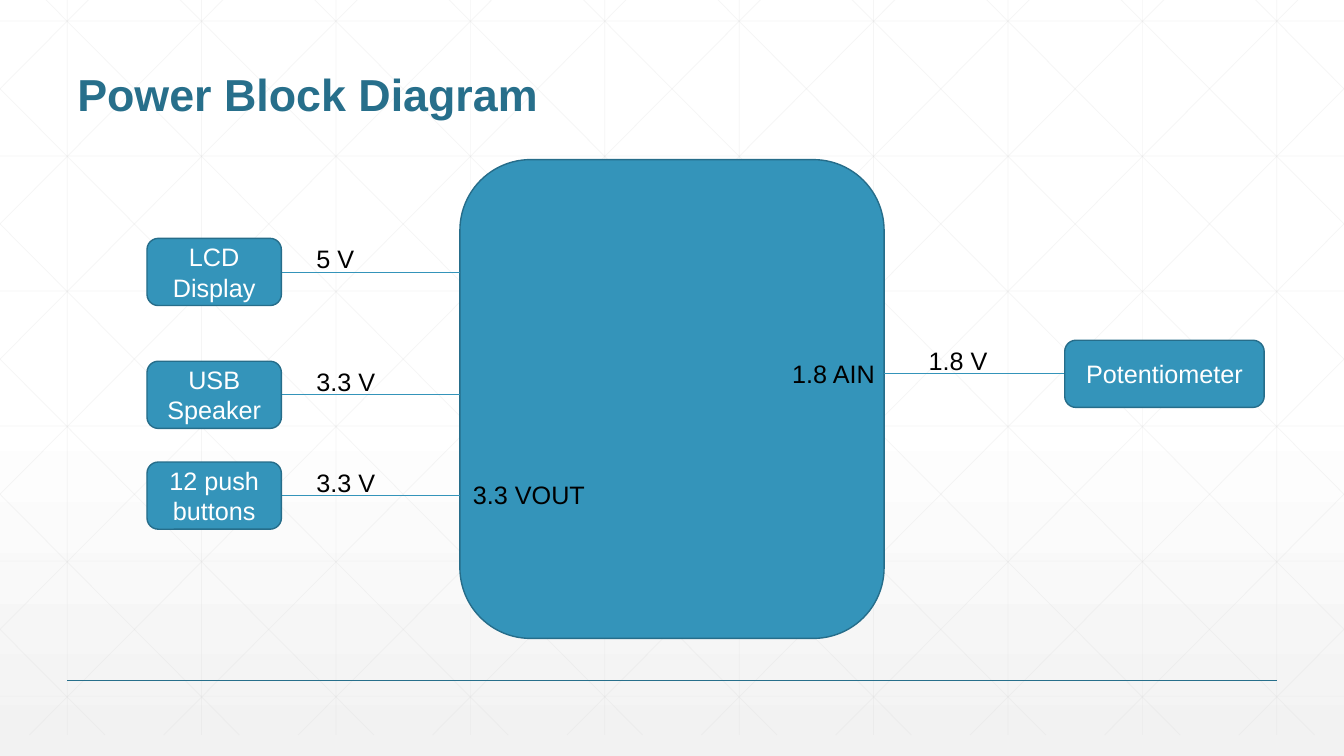
from pptx import Presentation
from pptx.dml.color import RGBColor
from pptx.enum.shapes import MSO_CONNECTOR, MSO_SHAPE
from pptx.enum.text import MSO_ANCHOR, PP_ALIGN
from pptx.oxml.ns import qn
from pptx.util import Pt
from lxml.etree import SubElement

PX = 9525
WIDTH, HEIGHT = 1280, 720

BLUE = RGBColor(0x34, 0x94, 0xBA)
OUTLINE = RGBColor(0x26, 0x6D, 0x8A)
TITLE_BLUE = RGBColor(0x27, 0x6F, 0x8B)
GRID_GRAY = RGBColor(0xD9, 0xD9, 0xD9)
BACKGROUND_GRAY = RGBColor(0xF2, 0xF2, 0xF2)
WHITE = RGBColor(0xFF, 0xFF, 0xFF)
BLACK = RGBColor(0, 0, 0)

TITLE = "Power Block Diagram"
BOARD = (438, 152, 404, 456)
BOX_HEIGHT = 64
# name, voltage, box left, box top, box width, voltage label left
DEVICES = [
    ("LCD Display", "5 V", 140, 227, 128, 292),
    ("USB Speaker", "3.3 V", 140, 344, 128, 292),
    ("12 push buttons", "3.3 V", 140, 440, 128, 292),
    ("Potentiometer", "1.8 V", 1014, 324, 190, 875),
]
# text, left, top, width
PINS = [("3.3 VOUT", 441, 452, 144), ("1.8 AIN", 745, 337, 113)]

GRID_STEP = 128
GRID_TOP, GRID_BOTTOM = -20, 700
DIAGONAL_RUN = 716


def emu(*lengths):
    return [round(length * PX) for length in lengths]


def add_line(slide, x1, y1, x2, y2, color, width, opacity=100):
    line = slide.shapes.add_connector(MSO_CONNECTOR.STRAIGHT, *emu(x1, y1, x2, y2))
    line.line.color.rgb = color
    line.line.width = Pt(width)
    properties = line.element.spPr
    SubElement(properties, qn("a:effectLst"))
    if opacity < 100:
        alpha = SubElement(next(properties.iter(qn("a:srgbClr"))), qn("a:alpha"))
        alpha.set("val", str(opacity * 1000))


def write_text(shape, text, size=18, color=BLACK, bold=False,
               align=PP_ALIGN.LEFT, anchor=MSO_ANCHOR.TOP, spacing=1.0):
    frame = shape.text_frame
    frame.word_wrap = True
    frame.vertical_anchor = anchor
    paragraph = frame.paragraphs[0]
    paragraph.alignment = align
    paragraph.line_spacing = spacing
    run = paragraph.add_run()
    run.text = text
    run.font.name = "Arial"
    run.font.size = Pt(size)
    run.font.bold = bold
    run.font.color.rgb = color


def add_label(slide, text, left, top, width):
    write_text(slide.shapes.add_textbox(*emu(left, top, width, 38)), text)


def add_block(slide, left, top, width, height):
    block = slide.shapes.add_shape(MSO_SHAPE.ROUNDED_RECTANGLE,
                                   *emu(left, top, width, height))
    block.shadow.inherit = False
    block.fill.solid()
    block.fill.fore_color.rgb = BLUE
    block.line.color.rgb = OUTLINE
    block.line.width = Pt(1)
    return block


def clipped_diagonal(start):
    """Return the part of a falling diagonal that lies on the slide's width."""
    slope = (GRID_BOTTOM - GRID_TOP) / DIAGONAL_RUN
    x1, x2 = max(start, 0), min(start + DIAGONAL_RUN, WIDTH)
    return x1, GRID_TOP + (x1 - start) * slope, x2, GRID_TOP + (x2 - start) * slope


def add_grid(slide):
    lines = [(x, GRID_TOP, x, GRID_BOTTOM) for x in range(64, WIDTH, GRID_STEP)]
    lines += [(0, 20 + 128.6 * row, WIDTH, 20 + 128.6 * row) for row in range(6)]
    for index in range(-5, 10):
        x1, y1, x2, y2 = clipped_diagonal(24 + GRID_STEP * index)
        lines += [(x1, y1, x2, y2), (WIDTH - x1, y1, WIDTH - x2, y2)]
    for line in lines:
        add_line(slide, *line, GRID_GRAY, 0.5, opacity=25)


def add_background(slide):
    fill = slide.background.fill
    fill.gradient()
    fill.gradient_angle = 270
    stops = [(0.53, WHITE), (1, BACKGROUND_GRAY)]
    for stop, (position, color) in zip(fill.gradient_stops, stops):
        stop.position = position
        stop.color.rgb = color


def add_title(slide):
    title = slide.shapes.title
    title.left, title.top, title.width, title.height = emu(64, 24, 1152, 96)
    write_text(title, TITLE, size=32, color=TITLE_BLUE, bold=True,
               anchor=MSO_ANCHOR.BOTTOM, spacing=0.9)
    slide.shapes.element.append(title.element)


def add_diagram(slide):
    board_left, _, board_width, _ = BOARD
    board_right = board_left + board_width
    add_block(slide, *BOARD)
    for name, voltage, left, top, width, label_left in DEVICES:
        wire_y = top + BOX_HEIGHT / 2
        if left < board_left:
            wire = (left + width, wire_y, board_left, wire_y)
        else:
            wire = (board_right, wire_y, left, wire_y)
        add_line(slide, *wire, BLUE, 0.5)
        box = add_block(slide, left, top, width, BOX_HEIGHT)
        write_text(box, name, color=WHITE, align=PP_ALIGN.CENTER,
                   anchor=MSO_ANCHOR.MIDDLE)
        add_label(slide, voltage, label_left, top, 104)
    for pin in PINS:
        add_label(slide, *pin)


def main():
    presentation = Presentation()
    presentation.slide_width, presentation.slide_height = emu(WIDTH, HEIGHT)
    slide = presentation.slides.add_slide(presentation.slide_layouts[5])
    add_background(slide)
    add_grid(slide)
    add_line(slide, 64, 648, 1216, 648, TITLE_BLUE, 1)
    add_title(slide)
    add_diagram(slide)
    presentation.save("out.pptx")


if __name__ == "__main__":
    main()
